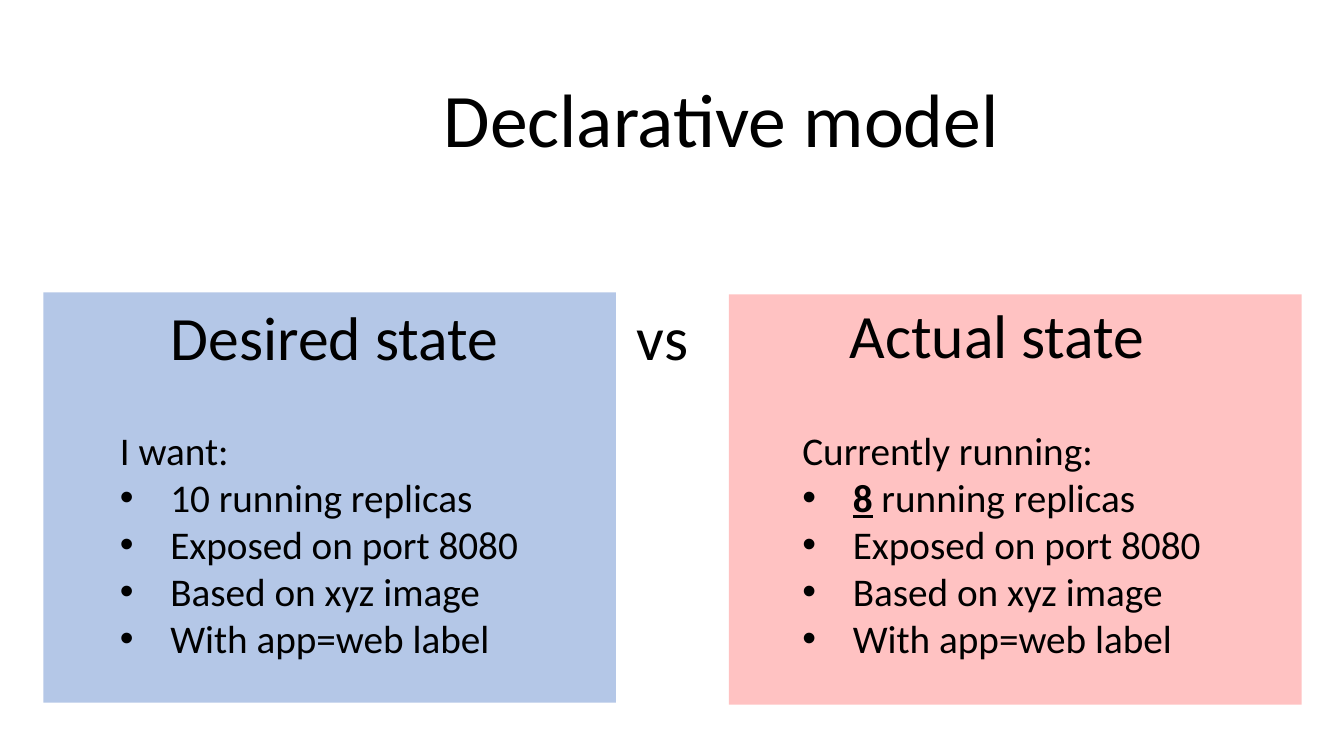
import pptx
import pptx.dml.color
import pptx.enum.shapes
import pptx.enum.text
import pptx.oxml.ns
import pptx.oxml.xmlchemy
import pptx.util
from pptx.util import Inches

BLACK = pptx.dml.color.RGBColor(0x00, 0x00, 0x00)
RED = pptx.dml.color.RGBColor(0xFF, 0x00, 0x00)
BLUE = pptx.dml.color.RGBColor(0xB4, 0xC7, 0xE7)
FONT = "Calibri"
LEFT = pptx.enum.text.PP_ALIGN.LEFT
CENTER = pptx.enum.text.PP_ALIGN.CENTER
SHARED_GOALS = ["Exposed on port 8080", "Based on xyz image", "With app=web label"]


def add_run(paragraph, text, size, emphasis=False):
    run = paragraph.add_run()
    run.text = text
    run.font.name = FONT
    run.font.size = pptx.util.Pt(size)
    run.font.color.rgb = BLACK
    if emphasis:
        run.font.bold = True
        run.font.underline = True


def add_bullet(paragraph):
    properties = paragraph._p.get_or_add_pPr()
    properties.set("marL", str(Inches(0.5)))
    properties.set("indent", str(-Inches(0.5)))
    font = pptx.oxml.xmlchemy.OxmlElement("a:buFont")
    font.set("typeface", "Arial")
    mark = pptx.oxml.xmlchemy.OxmlElement("a:buChar")
    mark.set("char", "•")
    properties.extend([font, mark])


def set_title(slide, text):
    title = slide.shapes.title
    title.left, title.top = Inches(4.3), Inches(0.66)
    title.width, title.height = Inches(6.58), Inches(1.01)
    frame = title.text_frame
    frame.vertical_anchor = pptx.enum.text.MSO_ANCHOR.TOP
    frame.auto_size = pptx.enum.text.MSO_AUTO_SIZE.SHAPE_TO_FIT_TEXT
    frame.paragraphs[0].alignment = LEFT
    add_run(frame.paragraphs[0], text, 54)


def add_panel(slide, left, top, color, opacity=None):
    panel = slide.shapes.add_shape(
        pptx.enum.shapes.MSO_SHAPE.RECTANGLE,
        Inches(left), Inches(top), Inches(5.68), Inches(4.07))
    panel.shadow.inherit = False
    panel.line.fill.background()
    panel.fill.solid()
    panel.fill.fore_color.rgb = color
    if opacity is not None:
        alpha = pptx.oxml.xmlchemy.OxmlElement("a:alpha")
        alpha.set("val", str(opacity * 1000))
        panel._element.spPr.find(".//" + pptx.oxml.ns.qn("a:srgbClr")).append(alpha)


def add_text_frame(slide, left, top, width, height):
    box = slide.shapes.add_textbox(
        Inches(left), Inches(top), Inches(width), Inches(height))
    frame = box.text_frame
    frame.word_wrap = True
    frame.auto_size = pptx.enum.text.MSO_AUTO_SIZE.SHAPE_TO_FIT_TEXT
    return frame


def add_heading(slide, text, left, top, width):
    paragraph = add_text_frame(slide, left, top, width, 0.84).paragraphs[0]
    paragraph.alignment = CENTER
    add_run(paragraph, text, 44)


def add_state_list(slide, left, intro, count, emphasis=False):
    frame = add_text_frame(slide, left, 4.18, 4.78, 2.46)
    add_run(frame.paragraphs[0], intro, 28)
    replicas = frame.add_paragraph()
    add_bullet(replicas)
    add_run(replicas, count, 28, emphasis)
    add_run(replicas, " running replicas", 28)
    for goal in SHARED_GOALS:
        paragraph = frame.add_paragraph()
        add_bullet(paragraph)
        add_run(paragraph, goal, 28)


def main():
    deck = pptx.Presentation()
    deck.slide_width, deck.slide_height = Inches(13.33), Inches(7.5)
    slide = deck.slides.add_slide(deck.slide_layouts[5])

    set_title(slide, "Declarative model")
    add_panel(slide, 7.23, 2.92, RED, opacity=24)
    add_panel(slide, 0.43, 2.9, BLUE)
    add_heading(slide, "Desired state", 0.01, 2.92, 6.62)
    add_heading(slide, "Actual state", 6.58, 2.9, 6.62)
    add_heading(slide, "vs", 4.86, 2.92, 3.42)
    add_state_list(slide, 1.09, "I want:", "10")
    add_state_list(slide, 7.86, "Currently running:", "8", emphasis=True)

    deck.save("out.pptx")


if __name__ == "__main__":
    main()
